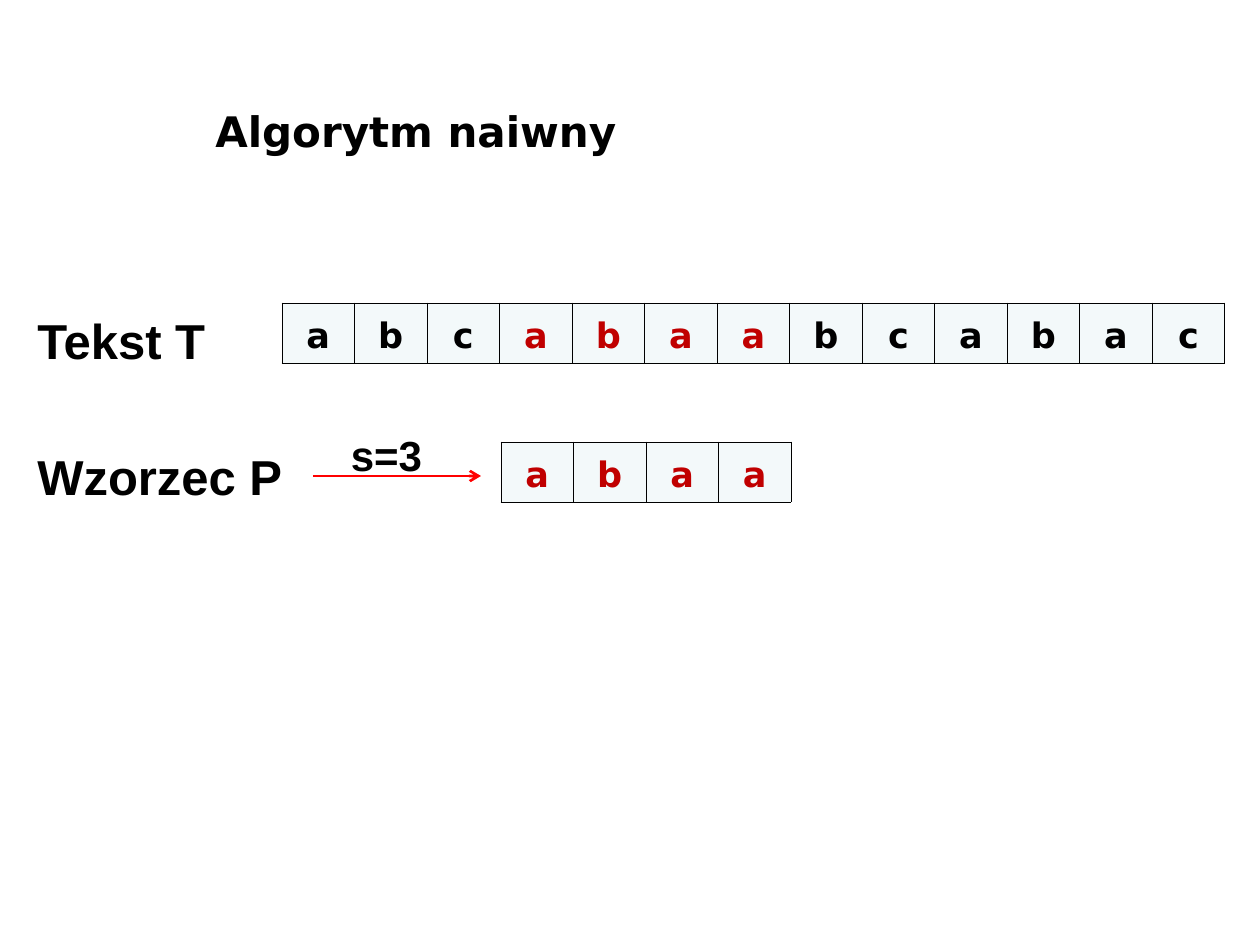
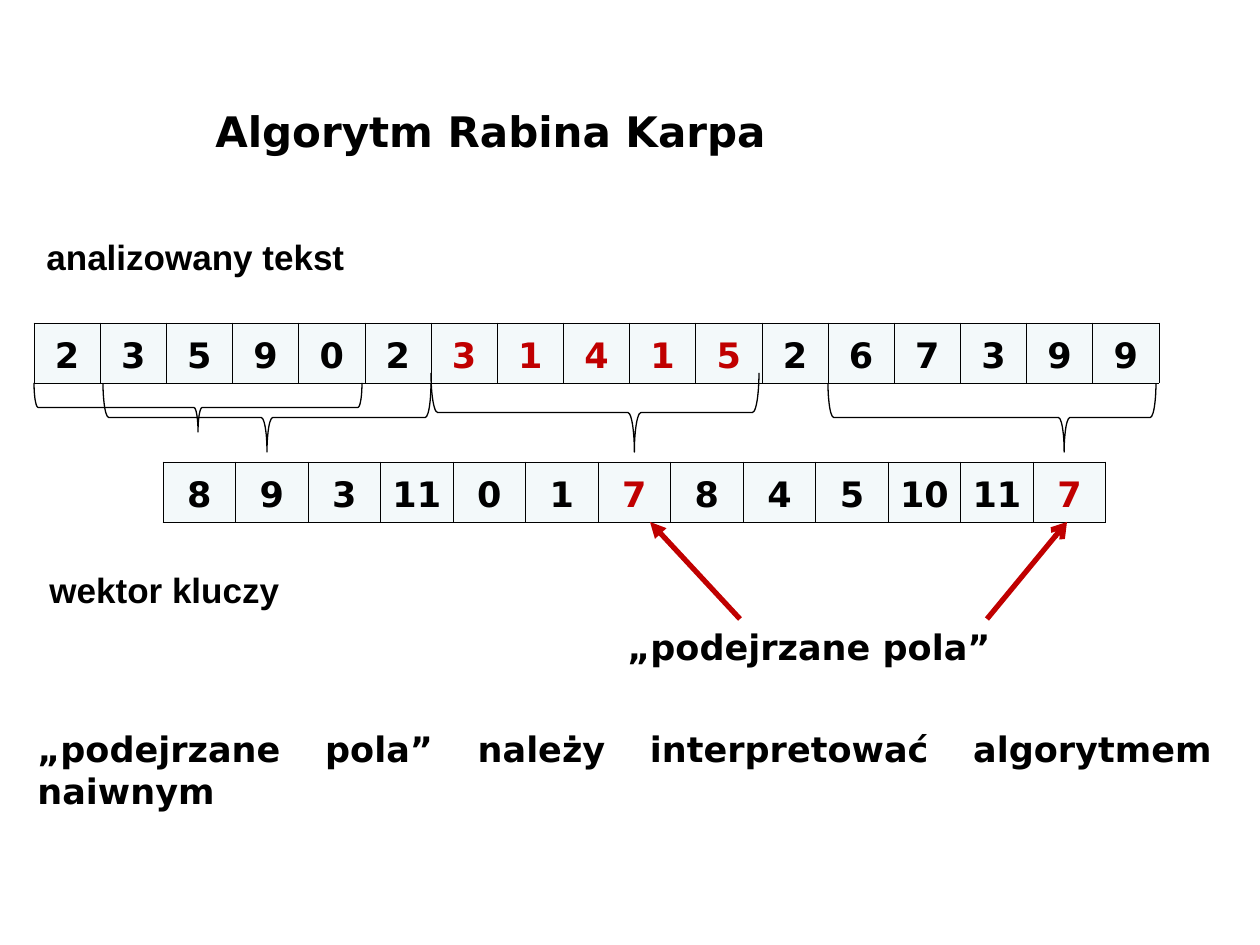
import pptx
import pptx.util
import pptx.dml.color
import pptx.enum.shapes
import pptx.enum.text
import pptx.oxml
import pptx.oxml.ns
from dataclasses import dataclass

PX = 914400 / 126  # EMU in one px


@dataclass(frozen=True)
class Theme:
    ink: str = "000000"
    mark: str = "C00000"
    shift: str = "FF0000"
    cell: str = "F3F9FA"
    sans: str = "Arial"
    wide: str = "DejaVu Sans"
    head: int = 24
    label: int = 28
    body: int = 20
    edge: float = 0.45
    brace: float = 0.75


THEME = Theme()
ROW = 60  # height of every table row
TITLE = (203, 66, 994, 130)

# Content: rows are (cells, marked indexes, left, top, width)
# labels are (text, box, format), arrows are (from, to, colour, weight, head)
# braces are (left, top, span, depth, place of the tip from the right)
SLIDES = [
    {
        "title": "Algorytm naiwny",
        "rows": [
            ("a b c a b a a b c a b a c", range(3, 7), 282, 303, 943),
            ("a b a a", range(4), 501, 442, 290),
        ],
        "labels": [
            ("Tekst T", (25, 304, 218, 72), {"size": THEME.label}),
            ("Wzorzec P", (25, 440, 287, 72), {"size": THEME.label}),
            ("s=3", (312, 423, 149, 63), {"size": THEME.head, "align": "CENTER"}),
        ],
        "braces": [],
        "arrows": [((313, 476), (481, 476), THEME.shift, 1.5, "arrow")],
    },
    {
        "title": "Algorytm Rabina Karpa",
        "rows": [
            ("2 3 5 9 0 2 3 1 4 1 5 2 6 7 3 9 9", range(6, 11), 34, 323, 1125),
            ("8 9 3 11 0 1 7 8 4 5 10 11 7", (6, 12), 163, 462, 943),
        ],
        "labels": [
            ("analizowany tekst", (34, 229, 1152, 55), {}),
            ("wektor kluczy", (37, 562, 1150, 55), {}),
            ("„podejrzane pola”", (615, 619, 491, 55), {"font": THEME.wide}),
            ("„podejrzane pola” należy interpretować algorytmem naiwnym",
             (25, 721, 1200, 55), {"font": THEME.wide, "align": "JUSTIFY"}),
        ],
        "braces": [
            (34, 383, 328, 49, 0.5),
            (103, 383, 328, 69, 0.5),
            (828, 383, 328, 69, 0.28),
            (431, 373, 328, 79, 0.38),
        ],
        "arrows": [
            ((740, 619), (650, 522), THEME.mark, 3, "triangle"),
            ((987, 619), (1067, 522), THEME.mark, 3, "arrow"),
        ],
    },
]


def emu(*sizes):
    return [pptx.util.Emu(round(size * PX)) for size in sizes]


def rgb(code):
    return pptx.dml.color.RGBColor.from_string(code)


def write(frame, text, font=THEME.sans, size=THEME.body, color=THEME.ink,
          align="LEFT", anchor="TOP"):
    frame.word_wrap = True
    frame.vertical_anchor = getattr(pptx.enum.text.MSO_ANCHOR, anchor)
    para = frame.paragraphs[0]
    para.alignment = getattr(pptx.enum.text.PP_ALIGN, align)
    run = para.add_run()
    run.text = text
    run.font.name = font
    run.font.size = pptx.util.Pt(size)
    run.font.bold = True
    run.font.color.rgb = rgb(color)


def add_label(slide, text, box, **form):
    frame = slide.shapes.add_textbox(*emu(*box)).text_frame
    write(frame, text, **form)
    return frame


def add_edges(cell):
    props = cell._tc.get_or_add_tcPr()
    width = pptx.util.Pt(THEME.edge)
    for spot, side in enumerate(("lnL", "lnR", "lnT", "lnB")):
        props.insert(spot, pptx.oxml.parse_xml(
            f'<a:{side} {pptx.oxml.ns.nsdecls("a")} w="{width}"><a:solidFill>'
            f'<a:srgbClr val="{THEME.ink}"/></a:solidFill></a:{side}>'))


def add_row(slide, text, marked, left, top, width):
    items = text.split()
    grid = slide.shapes.add_table(
        1, len(items), *emu(left, top, width, ROW)).table
    grid.first_row = grid.horz_banding = False
    for spot, item in enumerate(items):
        grid.columns[spot].width = emu(width / len(items))[0]
        cell = grid.cell(0, spot)
        cell.margin_left = cell.margin_right = emu(1)[0]
        cell.margin_top = cell.margin_bottom = emu(6)[0]
        cell.fill.solid()
        cell.fill.fore_color.rgb = rgb(THEME.cell)
        add_edges(cell)
        write(cell.text_frame, item, font=THEME.wide, align="CENTER",
              color=THEME.mark if spot in marked else THEME.ink)
        cell.vertical_anchor = pptx.enum.text.MSO_ANCHOR.BOTTOM


def add_brace(slide, left, top, span, depth, tip):
    # A quarter turn about the centre makes the tip point down
    shape = slide.shapes.add_shape(
        pptx.enum.shapes.MSO_SHAPE.RIGHT_BRACE,
        *emu(left + (span - depth) / 2, top + (depth - span) / 2, depth, span))
    shape.rotation = 90
    shape.adjustments[1] = tip
    shape.shadow.inherit = False
    shape.fill.background()
    shape.line.color.rgb = rgb(THEME.ink)
    shape.line.width = pptx.util.Pt(THEME.brace)


def add_arrow(slide, start, end, color, weight, head):
    link = slide.shapes.add_connector(
        pptx.enum.shapes.MSO_CONNECTOR.STRAIGHT, *emu(*start, *end))
    link.line.color.rgb = rgb(color)
    link.line.width = pptx.util.Pt(weight)
    names = pptx.oxml.ns.nsdecls("a")
    link.line._get_or_add_ln().append(
        pptx.oxml.parse_xml(f'<a:tailEnd {names} type="{head}"/>'))
    link._element.spPr.append(pptx.oxml.parse_xml(f"<a:effectLst {names}/>"))


def main():
    deck = pptx.Presentation()
    deck.slide_width, deck.slide_height = emu(1260, 945)
    for page in SLIDES:
        slide = deck.slides.add_slide(deck.slide_layouts[6])
        add_label(slide, page["title"], TITLE, font=THEME.wide,
                  size=THEME.head, anchor="MIDDLE")
        for row in page["rows"]:
            add_row(slide, *row)
        for text, box, form in page["labels"]:
            frame = add_label(slide, text, box, **form)
            frame.auto_size = pptx.enum.text.MSO_AUTO_SIZE.SHAPE_TO_FIT_TEXT
        for brace in page["braces"]:
            add_brace(slide, *brace)
        for arrow in page["arrows"]:
            add_arrow(slide, *arrow)
    deck.save("out.pptx")


if __name__ == "__main__":
    main()
